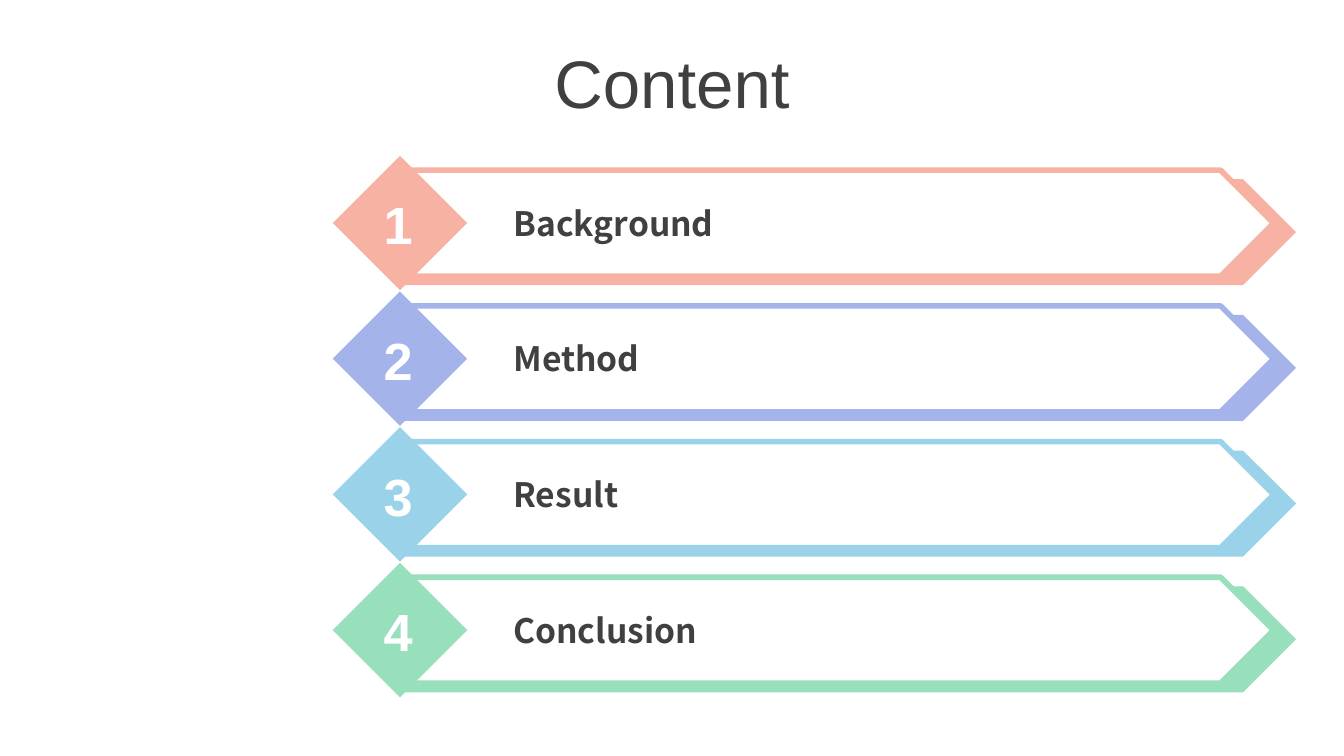
from pptx import Presentation
from pptx.dml.color import RGBColor
from pptx.enum.shapes import MSO_SHAPE
from pptx.enum.text import MSO_ANCHOR, PP_ALIGN
from pptx.util import Pt

DARK, WHITE = "404040", "FFFFFF"
SANS, NOTO = "Arial", "Noto Sans CJK SC"
TOP, PITCH = 83.5, 72.7
ITEMS = [
    ("Background", "F8B2A3"),
    ("Method", "A4B4EA"),
    ("Result", "9AD3E9"),
    ("Conclusion", "98DFBB"),
]


def rgb(code):
    """Turn a hex string into a colour."""
    return RGBColor.from_string(code)


def write(shape, words, size, color, font=SANS, bold=False,
          align=PP_ALIGN.LEFT, anchor=MSO_ANCHOR.TOP):
    """Put formatted text into a shape."""
    frame = shape.text_frame
    frame.word_wrap = True
    frame.vertical_anchor = anchor
    para = frame.paragraphs[0]
    para.alignment = align
    run = para.add_run()
    run.text = words
    run.font.name, run.font.size, run.font.bold = font, Pt(size), bold
    run.font.color.rgb = rgb(color)


def place(shape, left, top, width, height):
    """Move and size a shape in points."""
    shape.left, shape.top = Pt(left), Pt(top)
    shape.width, shape.height = Pt(width), Pt(height)


def box(slide, left, top, width, height, words, **form):
    """Add a text box with formatted text."""
    item = slide.shapes.add_textbox(Pt(left), Pt(top), Pt(width), Pt(height))
    write(item, words, **form)


def form(group, kind, left, top, width, height, fill, line=None):
    """Add a flat preset shape to a group."""
    item = group.shapes.add_shape(kind, Pt(left), Pt(top), Pt(width), Pt(height))
    item.shadow.inherit = False
    item.fill.solid()
    item.fill.fore_color.rgb = rgb(fill)
    if line:
        item.line.color.rgb = rgb(line)
        item.line.width = Pt(3)
    else:
        item.line.fill.background()


def banner(slide, top, number, label, color):
    """Add one numbered arrow banner."""
    group = slide.shapes.add_group_shape()
    form(group, MSO_SHAPE.PENTAGON, 216.3, top + 12.5, 478, 56.8, color)
    form(group, MSO_SHAPE.PENTAGON, 216.3, top + 7.7, 466, 56.8, WHITE, color)
    form(group, MSO_SHAPE.DIAMOND, 178.3, top, 72, 72, color)
    box(slide, 197.3, top + 16, 32, 41, str(number), size=28, color=WHITE,
        bold=True, align=PP_ALIGN.CENTER, anchor=MSO_ANCHOR.MIDDLE)
    box(slide, 268, top + 21.5, 374.4, 29, label, size=18, color=DARK,
        font=NOTO, bold=True)


def main():
    """Build the contents slide."""
    deck = Presentation()
    deck.slide_width, deck.slide_height = Pt(720), Pt(405)
    slide = deck.slides.add_slide(deck.slide_layouts[5])
    title = slide.shapes.title
    place(title, 0, 21, 720, 45.4)
    write(title, "Content", size=36, color=DARK,
          align=PP_ALIGN.CENTER, anchor=MSO_ANCHOR.MIDDLE)
    for row, (label, color) in enumerate(ITEMS):
        banner(slide, TOP + row * PITCH, row + 1, label, color)
    deck.save("out.pptx")


if __name__ == "__main__":
    main()
